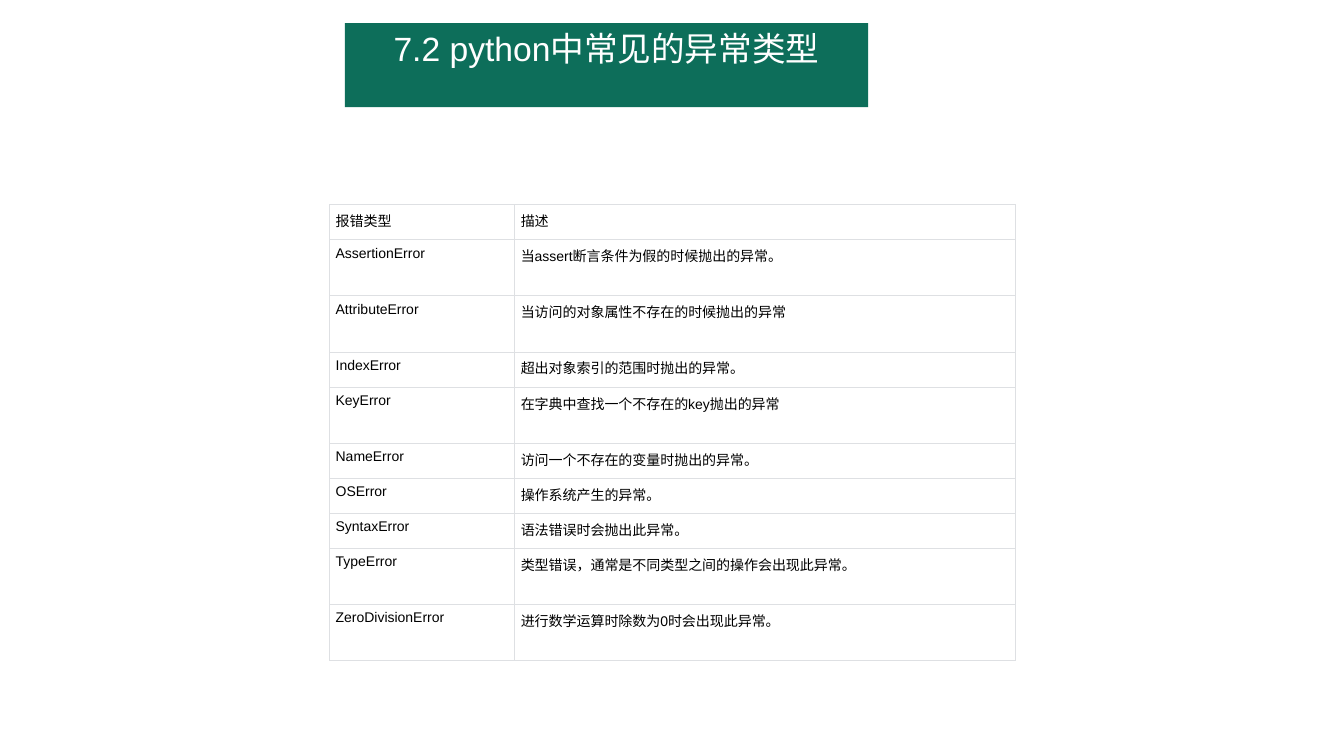
import pptx
import pptx.util
import pptx.dml.color
import pptx.enum.shapes
import pptx.enum.text
import pptx.oxml
import pptx.oxml.ns
from dataclasses import dataclass


@dataclass(frozen=True)
class Theme:
    font: str = "Arial"
    banner: str = "0D6E5A"
    banner_text: str = "FFFFFF"
    table_text: str = "000000"
    border: str = "DEE0E3"
    title_size: int = 24
    table_size: int = 10
    border_width: float = 0.5
    cell_inset: float = 0.06


THEME = Theme()
PAGE_WIDTH = pptx.util.Inches(13.33)
PAGE_HEIGHT = pptx.util.Inches(7.5)

TITLE = "7.2 python中常见的异常类型"
SHORT, TALL = 5, 8
NAME_SHARE = 0.27
ERRORS = [
    (SHORT, "报错类型", "描述"),
    (TALL, "AssertionError", "当assert断言条件为假的时候抛出的异常。"),
    (TALL, "AttributeError", "当访问的对象属性不存在的时候抛出的异常"),
    (SHORT, "IndexError", "超出对象索引的范围时抛出的异常。"),
    (TALL, "KeyError", "在字典中查找一个不存在的key抛出的异常"),
    (SHORT, "NameError", "访问一个不存在的变量时抛出的异常。"),
    (SHORT, "OSError", "操作系统产生的异常。"),
    (SHORT, "SyntaxError", "语法错误时会抛出此异常。"),
    (TALL, "TypeError", "类型错误，通常是不同类型之间的操作会出现此异常。"),
    (TALL, "ZeroDivisionError", "进行数学运算时除数为0时会出现此异常。"),
]


def page_box(left, top, width, height):
    return {
        "left": int(PAGE_WIDTH * left / 100),
        "top": int(PAGE_HEIGHT * top / 100),
        "width": int(PAGE_WIDTH * width / 100),
        "height": int(PAGE_HEIGHT * height / 100),
    }


def apply(target, values):
    for name, value in values.items():
        setattr(target, name, value)


def write(frame, text, size, color):
    para = frame.paragraphs[0]
    span = para.add_run()
    span.text = text
    apply(span.font, {"name": THEME.font, "size": pptx.util.Pt(size), "bold": False})
    span.font.color.rgb = pptx.dml.color.RGBColor.from_string(color)
    return para


def add_banner(page, box):
    banner = page.shapes.title
    apply(banner, box)
    outline = pptx.oxml.parse_xml(
        f'<a:prstGeom {pptx.oxml.ns.nsdecls("a")} prst="round2SameRect"><a:avLst/></a:prstGeom>'
    )
    banner.element.spPr.append(outline)
    banner.fill.solid()
    banner.fill.fore_color.rgb = pptx.dml.color.RGBColor.from_string(THEME.banner)
    banner.line.fill.background()
    apply(banner.text_frame, {
        "word_wrap": True,
        "auto_size": pptx.enum.text.MSO_AUTO_SIZE.SHAPE_TO_FIT_TEXT,
        "vertical_anchor": pptx.enum.text.MSO_ANCHOR.TOP,
    })
    para = write(banner.text_frame, TITLE, THEME.title_size, THEME.banner_text)
    para.alignment = pptx.enum.text.PP_ALIGN.CENTER


def add_borders(cell):
    properties = cell._tc.get_or_add_tcPr()
    width = pptx.util.Pt(THEME.border_width)
    for position, side in enumerate(("lnL", "lnR", "lnT", "lnB")):
        border = pptx.oxml.parse_xml(
            f'<a:{side} {pptx.oxml.ns.nsdecls("a")} w="{width}"><a:solidFill>'
            f'<a:srgbClr val="{THEME.border}"/></a:solidFill></a:{side}>'
        )
        properties.insert(position, border)


def add_error_table(page, box):
    table = page.shapes.add_table(len(ERRORS), 2, **box).table
    apply(table, {"first_row": False, "horz_banding": False})
    table.columns[0].width = int(box["width"] * NAME_SHARE)
    table.columns[1].width = box["width"] - table.columns[0].width
    total = sum(weight for weight, *_ in ERRORS)
    inset = pptx.util.Inches(THEME.cell_inset)
    margins = {f"margin_{side}": inset for side in ("left", "right", "top", "bottom")}
    for row, (weight, *texts) in zip(table.rows, ERRORS):
        row.height = int(box["height"] * weight / total)
        for cell, text in zip(row.cells, texts):
            apply(cell, margins)
            cell.fill.background()
            add_borders(cell)
            write(cell.text_frame, text, THEME.table_size, THEME.table_text)


def main():
    deck = pptx.Presentation()
    apply(deck, {"slide_width": PAGE_WIDTH, "slide_height": PAGE_HEIGHT})
    page = deck.slides.add_slide(deck.slide_layouts[5])
    add_banner(page, page_box(25.66, 3.07, 38.93, 7.07))
    add_error_table(page, page_box(24.53, 27.07, 51.01, 60.27))
    deck.save("out.pptx")


if __name__ == "__main__":
    main()
